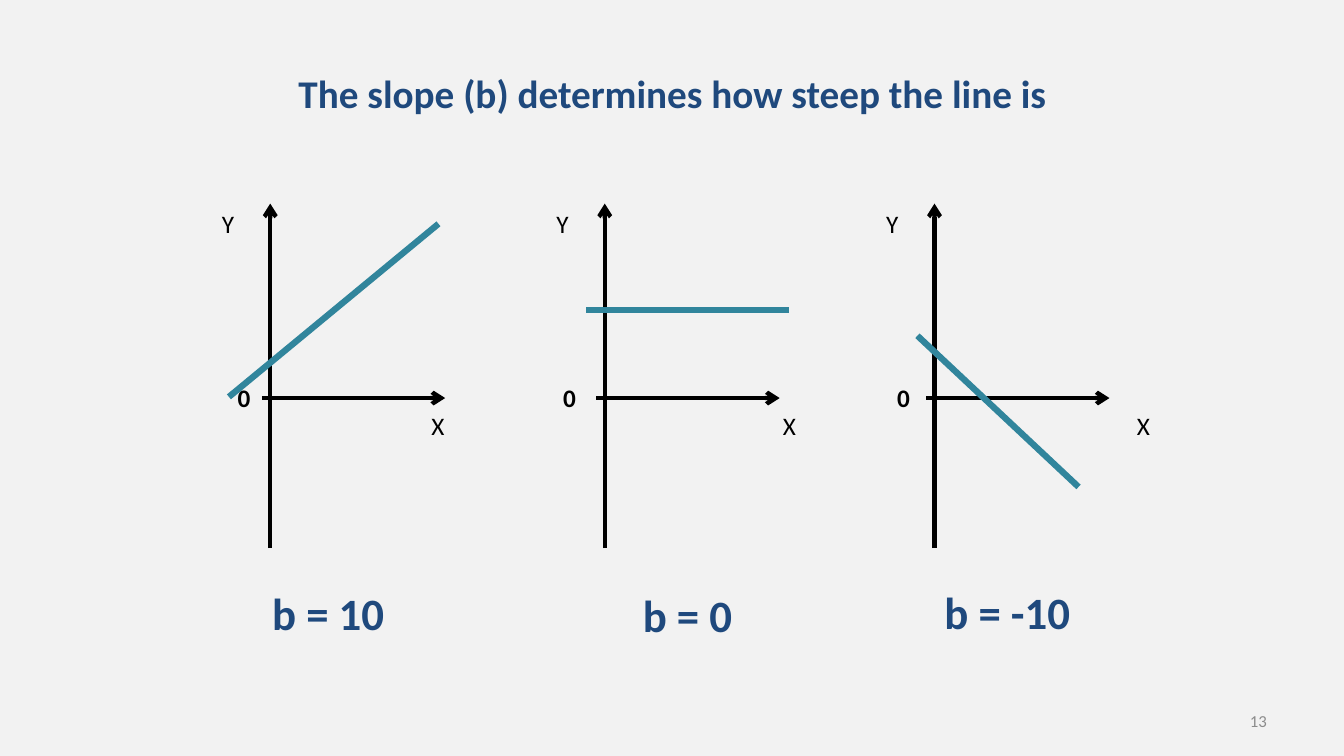
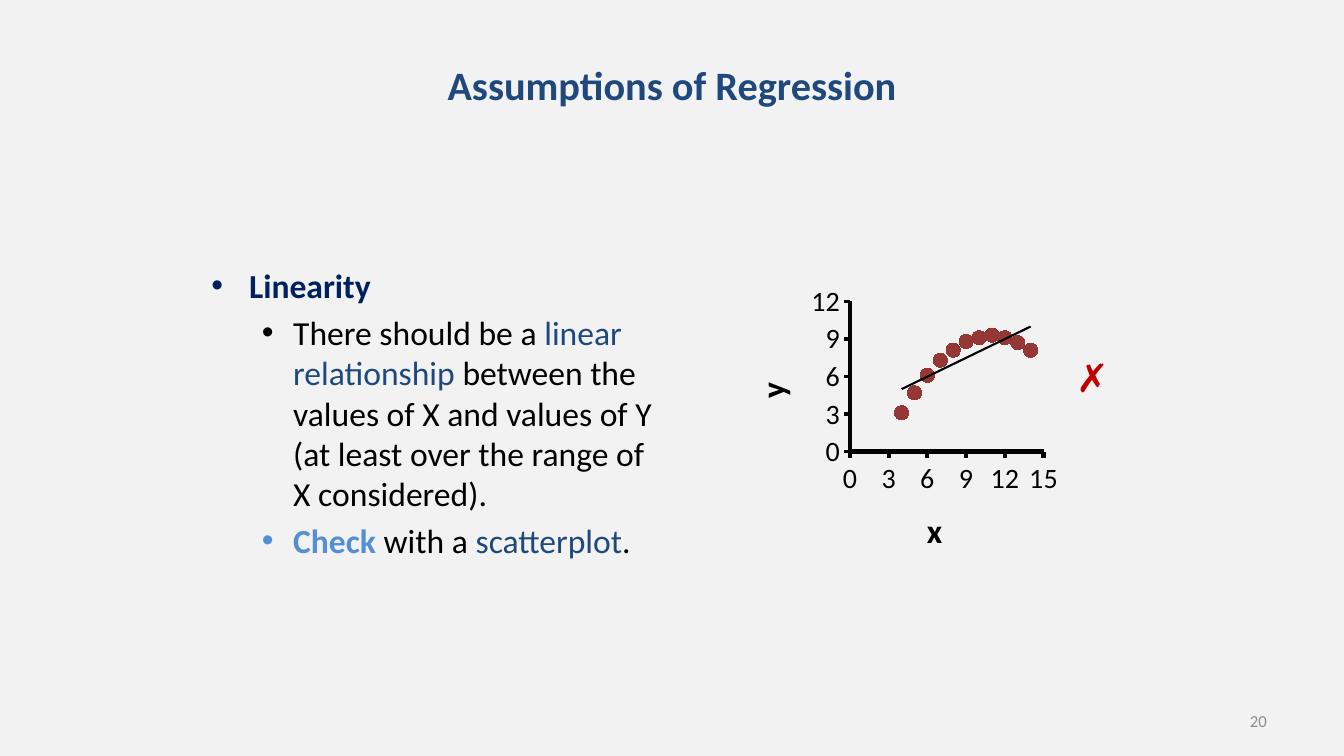
from pptx import Presentation
from pptx.chart.data import XyChartData
from pptx.dml.color import RGBColor
from pptx.enum import chart as ce, shapes, text
from pptx.oxml import parse_xml
from pptx.oxml.ns import nsdecls, qn
from pptx.util import Cm, Pt
from lxml import etree

PAPER = RGBColor(0xF2, 0xF2, 0xF2)
BLACK = RGBColor(0, 0, 0)
BLUE = RGBColor(0x1F, 0x49, 0x7D)
NAVY = RGBColor(0x00, 0x20, 0x60)
SKY = RGBColor(0x55, 0x8E, 0xD5)
TEAL = RGBColor(0x31, 0x85, 0x9C)
GRAY = RGBColor(0x8C, 0x8C, 0x8C)
RED = RGBColor(0xC0, 0, 0)
WINE = RGBColor(0x95, 0x37, 0x35)
FONT = "Calibri"
LEFT, MID, RIGHT = (text.PP_ALIGN.LEFT, text.PP_ALIGN.CENTER,
                    text.PP_ALIGN.RIGHT)


# Shared parts
def style(font, size, color, bold=False):
    font.name, font.size, font.bold = FONT, Pt(size), bold
    font.color.rgb = color


def label(slide, box, words, size, color, bold=False, align=LEFT, wrap=False):
    frame = slide.shapes.add_textbox(*map(Cm, box)).text_frame
    frame.word_wrap = wrap
    if wrap:
        frame.vertical_anchor = text.MSO_ANCHOR.MIDDLE
    else:
        frame.auto_size = text.MSO_AUTO_SIZE.SHAPE_TO_FIT_TEXT
    frame.text = words
    para = frame.paragraphs[0]
    para.alignment = align
    style(para.runs[0].font, size, color, bold)


def line(slide, start, end, color, width, arrow=False):
    link = slide.shapes.add_connector(
        shapes.MSO_CONNECTOR.STRAIGHT, *map(Cm, start + end))
    link.line.color.rgb = color
    link.line.width = Pt(width)
    if arrow:
        etree.SubElement(link.line._get_or_add_ln(), qn("a:tailEnd"),
                         type="arrow")
    etree.SubElement(link._element.spPr, qn("a:effectLst"))


def page(deck, title, box, size, number):
    slide = deck.slides.add_slide(deck.slide_layouts[6])
    slide.background.fill.solid()
    slide.background.fill.fore_color.rgb = PAPER
    label(slide, box, title, size, BLUE, True, MID, True)
    label(slide, (24.28, 17.65, 7.9, 1.02), number, 12, GRAY,
          align=RIGHT, wrap=True)
    return slide


# One slope graph: the Y axis is the left edge of the box
def graph(slide, box, start, end, zero, name, note, spot):
    left, top, width, height = box
    base = top + 4.9

    def at(x, y):
        return left + x, base + y

    line(slide, at(0, height - 4.9), at(0, -4.9), BLACK, 3, True)
    line(slide, at(-0.21, 0), at(width, 0), BLACK, 3, True)
    line(slide, at(*start), at(*end), TEAL, 4.5)
    for words, x, y in (("X", name, 0.18), ("Y", -1.47, -4.9),
                        ("0", zero, -0.52)):
        label(slide, at(x, y) + (0.84, 1.02), words, 18, BLACK, words == "0")
    x, y, wide = spot
    label(slide, at(x, y) + (wide, 1.63), note, 32, BLUE, True)


# Bulleted text: each item is (level, runs)
def points(slide, box, items):
    frame = slide.shapes.add_textbox(*map(Cm, box)).text_frame
    frame.word_wrap = True
    for i, (level, runs) in enumerate(items):
        para = frame.add_paragraph() if i else frame.paragraphs[0]
        para.level = level
        para.space_before = Pt(4.8)
        edge, hang = ((0.95, 0.95), (2.06, 0.79))[level]
        props = para._p.get_or_add_pPr()
        props.set("marL", str(Cm(edge)))
        props.set("indent", str(-Cm(hang)))
        etree.SubElement(props, qn("a:buFont"), typeface="Arial")
        etree.SubElement(props, qn("a:buChar"), char="•")
        for words, color, bold in runs:
            run = para.add_run()
            run.text = words
            style(run.font, 24, color, bold)


# Scatterplot with a straight trend line
def scatter(slide, box, dots):
    data = XyChartData()
    group = data.add_series("Series 1")
    for x, y in dots:
        group.add_data_point(x, y)
    plot = slide.shapes.add_chart(
        ce.XL_CHART_TYPE.XY_SCATTER, *map(Cm, box), data).chart
    plot.has_legend = plot.has_title = False
    style(plot.font, 10, BLACK)

    for axis, name, top, width in ((plot.category_axis, "x", 15, 3),
                                   (plot.value_axis, "y", 12, 2.25)):
        axis.minimum_scale, axis.maximum_scale, axis.major_unit = 0, top, 3
        axis.has_major_gridlines = False
        axis.major_tick_mark = ce.XL_TICK_MARK.OUTSIDE
        axis.tick_labels.number_format = "0"
        axis.tick_labels.number_format_is_linked = False
        style(axis.tick_labels.font, 20, BLACK)
        axis.format.line.color.rgb = BLACK
        axis.format.line.width = Pt(width)
        frame = axis.axis_title.text_frame
        frame.text = name
        style(frame.paragraphs[0].runs[0].font, 24, BLACK, True)

    plot.plots[0].vary_by_categories = False
    series = plot.plots[0].series[0]
    series.format.line.fill.background()
    series.marker.style, series.marker.size = ce.XL_MARKER_STYLE.CIRCLE, 10
    series.marker.format.fill.solid()
    series.marker.format.fill.fore_color.rgb = WINE
    series.marker.format.line.color.rgb = WINE
    series._element.find(qn("c:xVal")).addprevious(parse_xml(
        f'<c:trendline {nsdecls("c", "a")}><c:spPr><a:ln w="{Pt(1.5)}">'
        f'<a:solidFill><a:srgbClr val="{BLACK}"/></a:solidFill></a:ln>'
        '</c:spPr><c:trendlineType val="linear"/><c:dispRSqr val="0"/>'
        '<c:dispEq val="0"/></c:trendline>'))

    # Fixed plot area
    area = plot._chartSpace.chart.plotArea
    for old in area.findall(qn("c:layout")):
        area.remove(old)
    sizes = "".join(f'<c:{key} val="{val}"/>' for key, val in (
        ("layoutTarget", "inner"), ("xMode", "edge"), ("yMode", "edge"),
        ("x", 0.36), ("y", 0.08), ("w", 0.57), ("h", 0.5)))
    area.insert(0, parse_xml(f'<c:layout {nsdecls("c")}><c:manualLayout>'
                             f'{sizes}</c:manualLayout></c:layout>'))


def slopes(deck):
    slide = page(deck, "The slope (b) determines how steep the line is",
                 (1.7, 0.76, 30.48, 3.18), 28, "13")
    for left, *rest in (
            (6.81, (-1.04, -0.03), (4.24, -4.39), -1.07, 3.81,
             "b = 10", (-0.2, 4.6, 3.38)),
            (15.24, (-0.46, -2.21), (4.65, -2.21), -1.3, 4.24,
             "b = 0", (0.71, 4.65, 2.79)),
            (23.55, (-0.43, -1.57), (3.63, 2.24), -1.19, 4.85,
             "b = -10", (0, 4.57, 3.71))):
        graph(slide, (left, 5.13, 4.41, 8.68), *rest)


def checks(deck):
    slide = page(deck, "Assumptions of Regression",
                 (5.51, 1.35, 22.86, 1.57), 28.8, "20")
    points(slide, (5.08, 6.55, 11.86, 11.63), (
        (0, [("Linearity", NAVY, True)]),
        (1, [("There should be a ", BLACK, False),
             ("linear relationship ", BLUE, False),
             ("between the values of X and values of Y (at least over "
              "the range of X considered).", BLACK, False)]),
        (1, [("Check ", SKY, True), ("with a ", BLACK, False),
             ("scatterplot", BLUE, False), (".", BLACK, False)])))
    scatter(slide, (18.34, 6.99, 8.56, 7.57), (
        (10, 9.1), (8, 8.1), (13, 8.7), (9, 8.8), (11, 9.3), (14, 8.1),
        (6, 6.1), (4, 3.1), (12, 9.1), (7, 7.3), (5, 4.7)))
    label(slide, (26.87, 8.79, 1.14, 1.45), "✗", 28, RED, True)


deck = Presentation()
deck.slide_width, deck.slide_height = Cm(33.87), Cm(19.05)
slopes(deck)
checks(deck)
deck.save("out.pptx")
